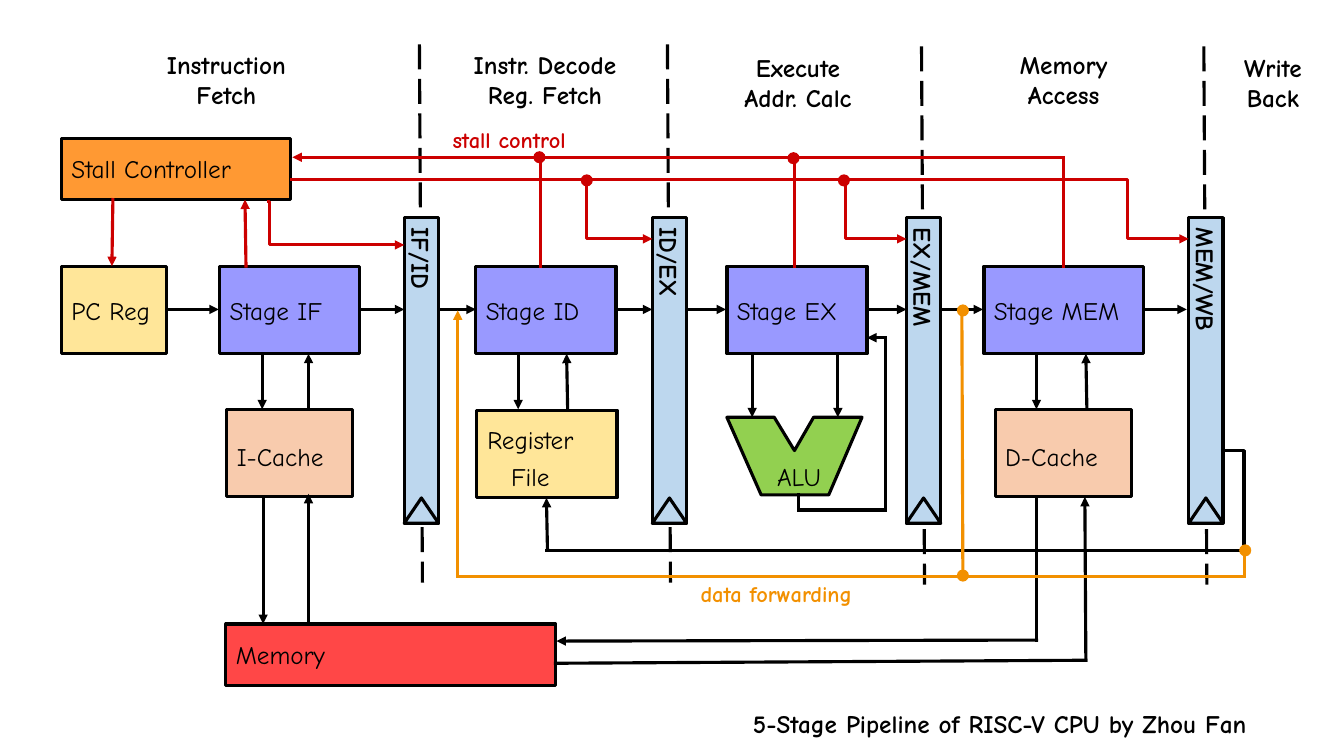
import pptx
import pptx.util
import pptx.dml.color
import pptx.enum.shapes
import pptx.enum.text
import pptx.oxml.ns
import lxml.etree

Inches = pptx.util.Inches
SHAPE = pptx.enum.shapes.MSO_SHAPE
CONNECTOR = pptx.enum.shapes.MSO_CONNECTOR
ALIGN = pptx.enum.text.PP_ALIGN
ANCHOR = pptx.enum.text.MSO_ANCHOR

THEME = {
    "font": "Comic Neue", "body": 18, "note": 16, "line": 2.25, "spacing": 27,
    "ink": "000000", "stall": "CC0000", "forward": "F29000", "latch": "BDD7EE",
    "stage": "9999FF", "register": "FFE699", "cache": "F8CBAD", "alu": "92D050",
    "controller": "FF9933", "memory": "FF4747",
}

HEADINGS = [
    (["Instruction", "Fetch"], 1.47, 0.44, 1.55),
    (["Instr. Decode", "Reg. Fetch"], 4.44, 0.44, 1.93),
    (["Execute", "Addr. Calc"], 6.87, 0.47, 2.09),
    (["Memory", "Access"], 9.97, 0.44, 1.16),
    (["Write", "Back"], 12.12, 0.47, 1.01),
]
LATCHES = [("IF/ID", 4.01, 0.44), ("ID/EX", 6.47, 0.44),
           ("EX/MEM", 8.99, 0.46), ("MEM/WB", 11.79, 0.46)]
LATCH_TOP, LATCH_W, LATCH_H, CLOCK_H = 2.16, 0.34, 3.03, 0.25
DIVIDER_H = 5.34

BLOCKS = [
    (["Stall Controller"], 0.61, 1.37, 2.27, 0.61, "controller"),
    (["PC Reg"], 0.61, 2.64, 1.04, 0.87, "register"),
    (["Stage IF"], 2.18, 2.64, 1.39, 0.87, "stage"),
    (["Stage ID"], 4.72, 2.64, 1.39, 0.87, "stage"),
    (["Stage EX"], 7.21, 2.64, 1.39, 0.87, "stage"),
    (["Stage MEM"], 9.76, 2.64, 1.58, 0.87, "stage"),
    (["I-Cache"], 2.25, 4.06, 1.25, 0.87, "cache"),
    (["Register", "File"], 4.73, 4.07, 1.39, 0.87, "register"),
    (["D-Cache"], 9.87, 4.06, 1.35, 0.87, "cache"),
    (["Memory"], 2.24, 6.19, 3.27, 0.61, "memory"),
]
ALU_OUTLINE = [(7.21, 4.14), (7.55, 4.91), (8.22, 4.91), (8.55, 4.14),
               (8.07, 4.14), (7.88, 4.47), (7.68, 4.14)]

FLOW_Y = 3.07
FLOWS = [(1.67, 2.17), (3.58, 4.01), (4.35, 4.72), (6.11, 6.47),
         (6.81, 7.2), (8.59, 8.99), (9.33, 9.75), (11.34, 11.77)]
ROUTES = [
    ("ink", True, [(7.46, 3.51), (7.46, 4.14)]),
    ("ink", True, [(8.31, 3.53), (8.31, 4.14)]),
    ("ink", True, [(7.92, 4.91), (7.92, 5.06), (8.78, 5.06), (8.78, 3.35), (8.6, 3.35)]),
    ("ink", True, [(2.6, 3.51), (2.6, 4.06)]),
    ("ink", True, [(3.06, 4.06), (3.06, 3.51)]),
    ("ink", True, [(5.14, 3.51), (5.14, 4.06)]),
    ("ink", True, [(5.63, 4.06), (5.62, 3.51)]),
    ("ink", True, [(10.28, 3.51), (10.28, 4.06)]),
    ("ink", True, [(10.78, 4.06), (10.77, 3.51)]),
    ("ink", True, [(5.43, 5.46), (5.42, 4.94)]),
    ("ink", True, [(2.61, 4.93), (2.61, 6.19)]),
    ("ink", True, [(3.06, 6.19), (3.06, 4.9)]),
    ("ink", True, [(10.28, 4.93), (10.28, 6.35), (5.52, 6.36)]),
    ("ink", True, [(5.51, 6.58), (10.77, 6.55), (10.76, 4.93)]),
    ("stall", True, [(2.44, 2.64), (2.43, 1.98)]),
    ("stall", True, [(1.12, 1.98), (1.11, 2.64)]),
    ("stall", True, [(10.55, 2.64), (10.55, 1.56), (2.9, 1.56)]),
    ("stall", False, [(5.36, 1.56), (5.36, 2.64)]),
    ("stall", False, [(7.88, 1.56), (7.88, 2.64)]),
    ("forward", True, [(12.34, 5.46), (12.34, 5.72), (4.54, 5.72), (4.54, 3.08)]),
    ("forward", False, [(9.54, 3.08), (9.55, 5.72)]),
]
ELBOWS = [
    ("ink", False, (5.42, 5.46), (12.13, 4.47), 12.34),
    ("stall", True, (2.66, 2.0), (4.01, 2.43), 2.67),
    ("stall", True, (2.89, 1.78), (6.47, 2.37), 5.82),
    ("stall", True, (5.04, 1.78), (8.99, 2.37), 8.38),
    ("stall", True, (7.83, 1.78), (11.79, 2.37), 11.18),
]
DOT = 0.12
DOTS = [("stall", 5.29, 1.5), ("stall", 5.76, 1.73), ("stall", 7.81, 1.51),
        ("stall", 8.31, 1.73), ("forward", 9.49, 5.65),
        ("forward", 12.29, 5.4), ("forward", 9.49, 3.02)]
NOTES = [
    ("data forwarding", 6.85, 5.71, 1.97, 0.37, "note", "forward"),
    ("stall control", 4.39, 1.2, 1.97, 0.37, "note", "stall"),
    ("5-Stage Pipeline of RISC-V CPU by Zhou Fan", 7.37, 6.98, 5.8, 0.4, "body", "ink"),
]

prs = pptx.Presentation()
prs.slide_width, prs.slide_height = Inches(13.33), Inches(7.5)
shapes = prs.slides.add_slide(prs.slide_layouts[6]).shapes


def color(name):
    return pptx.dml.color.RGBColor.from_string(THEME[name])


def write(sp, lines, size="body", ink="ink", bold=False, align=ALIGN.LEFT,
          anchor=ANCHOR.TOP, insets=(0.1, 0.05, 0.1, 0.05), spacing=None,
          wrap=True, vertical=False):
    tf = sp.text_frame
    tf.word_wrap, tf.vertical_anchor = wrap, anchor
    tf.margin_left, tf.margin_top, tf.margin_right, tf.margin_bottom = map(Inches, insets)
    if vertical:
        tf._txBody.bodyPr.set("vert", "eaVert")
    for i, line in enumerate(lines):
        p = tf.add_paragraph() if i else tf.paragraphs[0]
        p.alignment = align
        if spacing:
            p.line_spacing = pptx.util.Pt(spacing)
        r = p.add_run()
        r.text = line
        r.font.name, r.font.size, r.font.bold = THEME["font"], pptx.util.Pt(THEME[size]), bold
        r.font.color.rgb = color(ink)


def paint(sp, fill, outlined=True):
    sp.shadow.inherit = False
    sp.fill.solid()
    sp.fill.fore_color.rgb = color(fill)
    if outlined:
        sp.line.color.rgb = color("ink")
        sp.line.width = pptx.util.Pt(THEME["line"])
    else:
        sp.line.fill.background()
    return sp


def shape(kind, x, y, w, h, fill, outlined=True):
    return paint(shapes.add_shape(kind, *map(Inches, (x, y, w, h))), fill, outlined)


def connect(start, end, ink="ink", arrow=False, dashed=False, bend=None):
    kind = CONNECTOR.STRAIGHT if bend is None else CONNECTOR.ELBOW
    line = shapes.add_connector(kind, *map(Inches, start + end))
    line.line.color.rgb = color(ink)
    line.line.width = pptx.util.Pt(THEME["line"])
    if dashed:
        line.line.dash_style = pptx.enum.dml.MSO_LINE.LONG_DASH
    else:
        line.line._ln.set("cap", "sq")
    qn = pptx.oxml.ns.qn
    if arrow:
        lxml.etree.SubElement(line.line._ln, qn("a:tailEnd"), type="triangle")
    lxml.etree.SubElement(line._element.spPr, qn("a:effectLst"))
    if bend is not None:
        ratio = round((bend - start[0]) / (end[0] - start[0]) * 100000)
        guides = line._element.spPr.find(qn("a:prstGeom")).get_or_add_avLst()
        lxml.etree.SubElement(guides, qn("a:gd"), name="adj1", fmla=f"val {ratio}")


for label, x, top in LATCHES:
    mid = x + LATCH_W / 2
    connect((mid - 0.02, top), (mid + 0.01, top + DIVIDER_H), dashed=True)
for label, x, top in LATCHES:
    sp = shape(SHAPE.RECTANGLE, x, LATCH_TOP, LATCH_W, LATCH_H, "latch")
    write(sp, [label], bold=True, anchor=ANCHOR.MIDDLE, insets=(0, 0.1, 0, 0), vertical=True)
    shape(SHAPE.ISOSCELES_TRIANGLE, x, LATCH_TOP + LATCH_H - CLOCK_H, LATCH_W, CLOCK_H, "latch")

for lines, x, y, w, h, fill in BLOCKS:
    sp = shape(SHAPE.RECTANGLE, x, y, w, h, fill)
    stacked = len(lines) > 1
    write(sp, lines, anchor=ANCHOR.MIDDLE,
          align=ALIGN.CENTER if stacked else ALIGN.LEFT,
          insets=(0.1, 0.05, 0.43 if stacked else 0, 0.05),
          spacing=THEME["spacing"] if stacked or fill == "cache" else None)

points = [(Inches(x), Inches(y)) for x, y in ALU_OUTLINE]
outline = shapes.build_freeform(*points[0], scale=1.0)
outline.add_line_segments(points[1:], close=True)
paint(outline.convert_to_shape(), "alu")
write(shapes.add_textbox(*map(Inches, (7.57, 4.45, 0.71, 0.45))), ["ALU"],
      align=ALIGN.CENTER, spacing=THEME["spacing"], wrap=False)

for x1, x2 in FLOWS:
    connect((x1, FLOW_Y), (x2, FLOW_Y), arrow=True)
for ink, arrow, start, end, bend in ELBOWS:
    connect(start, end, ink, arrow, bend=bend)
for ink, arrow, stops in ROUTES:
    for i, (start, end) in enumerate(zip(stops, stops[1:]), 2):
        connect(start, end, ink, arrow and i == len(stops))
for ink, x, y in DOTS:
    shape(SHAPE.OVAL, x, y, DOT, DOT, ink, outlined=False)

for lines, x, y, w in HEADINGS:
    write(shapes.add_textbox(*map(Inches, (x, y, w, 0.7))), lines, bold=True, align=ALIGN.CENTER)
for label, x, y, w, h, size, ink in NOTES:
    write(shapes.add_textbox(*map(Inches, (x, y, w, h))), [label], size=size, ink=ink, bold=True)

prs.save("out.pptx")
